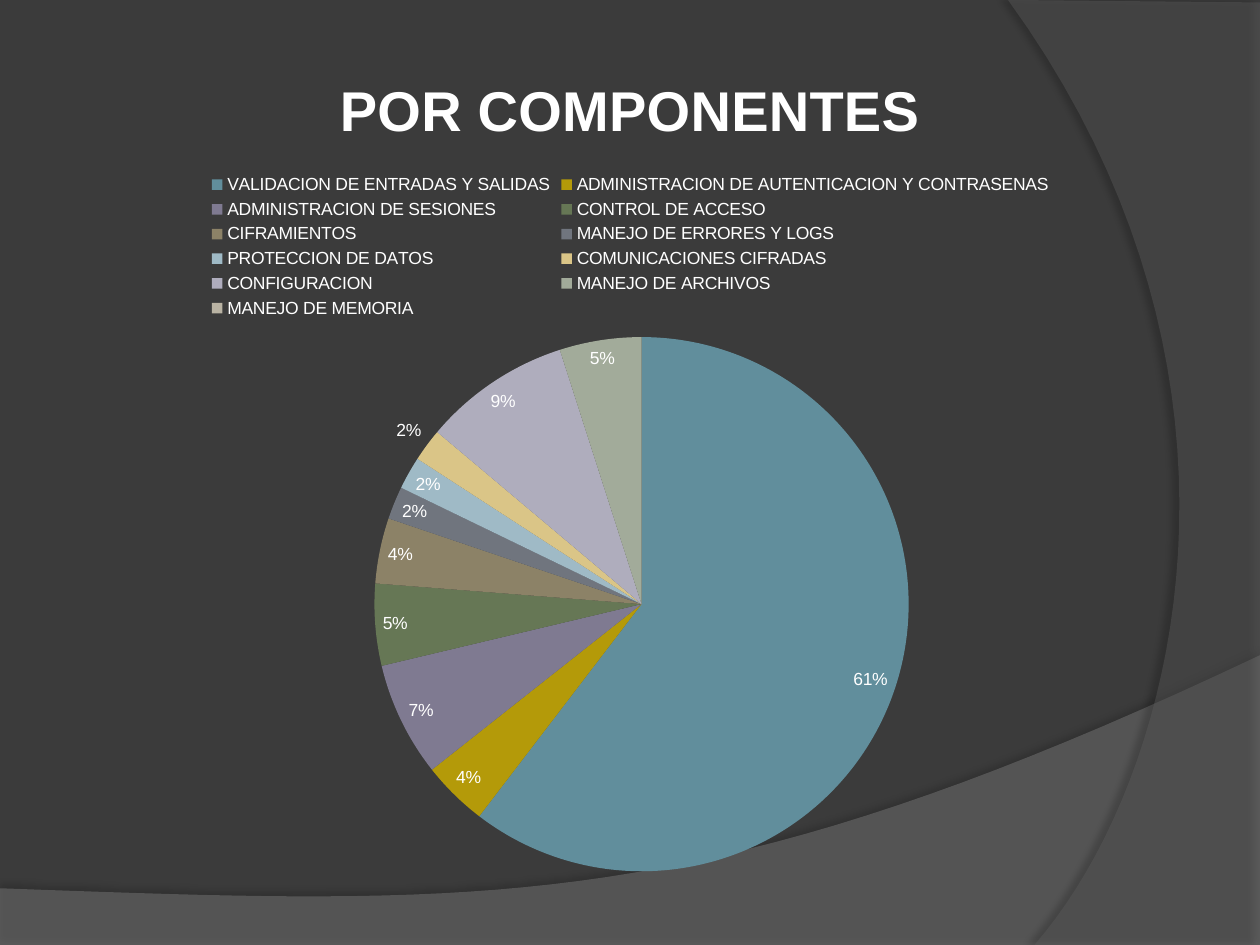
from lxml import etree
from pptx import Presentation
from pptx import util as u
from pptx.chart.data import CategoryChartData
from pptx.dml.color import RGBColor
from pptx.enum import chart as ch
from pptx.oxml import parse_xml
from pptx.oxml.ns import nsdecls, qn

HUES = {"back": "3B3B3B", "wave": "7F7F7F", "arc": "5E5E5E",
        "text": "FFFFFF", "shade": "000000"}
PARTS = [
    ("VALIDACION DE ENTRADAS Y SALIDAS", 61, "618E9C"),
    ("ADMINISTRACION DE AUTENTICACION Y CONTRASENAS", 4, "B49A09"),
    ("ADMINISTRACION DE SESIONES", 7, "7F7A91"),
    ("CONTROL DE ACCESO", 5, "667755"),
    ("CIFRAMIENTOS", 4, "8C8267"),
    ("MANEJO DE ERRORES Y LOGS", 2, "70757E"),
    ("PROTECCION DE DATOS", 2, "9FBAC6"),
    ("COMUNICACIONES CIFRADAS", 2, "DAC587"),
    ("CONFIGURACION", 9, "AFADBD"),
    ("MANEJO DE ARCHIVOS", 5, "A2AB9A"),
    ("MANEJO DE MEMORIA", 0, "B9B3A3"),
]


def curve(a, b, c, d, steps=40):
    """Points along a cubic Bezier, both ends included."""
    marks = [i / steps for i in range(steps + 1)]
    return [tuple((1 - t) ** 3 * p + 3 * t * (1 - t) ** 2 * q
                  + 3 * t * t * (1 - t) * r + t ** 3 * s
                  for p, q, r, s in zip(a, b, c, d)) for t in marks]


class Deck:
    face = "Arial"

    def __init__(self, wide, high):
        self.prs = Presentation()
        self.prs.slide_width = u.Inches(wide)
        self.prs.slide_height = u.Inches(high)
        self.slide = self.prs.slides.add_slide(self.prs.slide_layouts[6])
        self.paint(self.slide.background.fill, HUES["back"])

    def paint(self, fill, hue):
        fill.solid()
        fill.fore_color.rgb = RGBColor.from_string(hue)

    def style(self, font, size, bold=False):
        font.name = self.face
        font.size = u.Pt(size)
        font.bold = bold
        font.color.rgb = RGBColor.from_string(HUES["text"])

    def sheet(self, points, hue, alpha, shade):
        """Translucent outline; shade is opacity %, blur pt, distance pt, angle."""
        dots = [(u.Inches(x), u.Inches(y)) for x, y in points]
        pen = self.slide.shapes.build_freeform(*dots[0])
        pen.add_line_segments(dots[1:], close=True)
        shape = pen.convert_to_shape()
        self.paint(shape.fill, hue)
        shape.line.fill.background()
        tint = shape.fill._xPr.find(".//" + qn("a:srgbClr"))
        etree.SubElement(tint, qn("a:alpha"), val=str(alpha * 1000))
        dark, blur, dist, angle = shade
        shape._element.spPr.append(parse_xml(
            f'<a:effectLst {nsdecls("a")}><a:outerShdw blurRad="{u.Pt(blur)}" '
            f'dist="{u.Pt(dist)}" dir="{angle * 60000}" rotWithShape="0">'
            f'<a:srgbClr val="{HUES["shade"]}"><a:alpha val="{dark * 1000}"/>'
            '</a:srgbClr></a:outerShdw></a:effectLst>'))

    def pie(self, title, parts, box, plot):
        """Pie in box; plot is its inner area as shares of the chart."""
        data = CategoryChartData()
        data.categories = [name for name, _, _ in parts]
        data.add_series("Series 1", [val for _, val, _ in parts])
        chart = self.slide.shapes.add_chart(
            ch.XL_CHART_TYPE.PIE, *map(u.Inches, box), data).chart
        self.style(chart.font, 10)

        chart.has_title = True
        run = chart.chart_title.text_frame.paragraphs[0].add_run()
        run.text = title
        self.style(run.font, 32, True)

        chart.has_legend = True
        chart.legend.position = ch.XL_LEGEND_POSITION.TOP
        chart.legend.include_in_layout = False
        self.style(chart.legend.font, 10)

        body = chart.plots[0]
        body.vary_by_categories = True
        for i, (_, _, hue) in enumerate(parts):
            form = body.series[0].points[i].format
            self.paint(form.fill, hue)
            form.line.fill.background()

        body.has_data_labels = True
        tags = body.data_labels
        tags.show_value = True
        tags.show_percentage = False
        tags.number_format = '0"%";;'
        tags.number_format_is_linked = False
        tags.position = ch.XL_LABEL_POSITION.BEST_FIT
        self.style(tags.font, 10)
        self.place(chart, plot)

    def place(self, chart, plot):
        area = chart._chartSpace.chart.plotArea
        for old in area.findall(qn("c:layout")):
            area.remove(old)
        sizes = "".join(f'<c:{k} val="{v}"/>' for k, v in zip("xywh", plot))
        area.insert(0, parse_xml(
            f'<c:layout {nsdecls("c")}><c:manualLayout>'
            '<c:layoutTarget val="inner"/><c:xMode val="edge"/>'
            f'<c:yMode val="edge"/>{sizes}</c:manualLayout></c:layout>'))


def main():
    deck = Deck(10, 7.5)
    wave = curve((10, 5.2), (5.59, 7.29), (3.91, 7.19), (0, 7.05))
    deck.sheet([(0, 7.51), (10, 7.51)] + wave,
               HUES["wave"], 45, (35, 4, 3.5, 270))
    arc = curve((8.21, 7.5), (9.35, 6.19), (10.18, 3), (8, 0))
    deck.sheet([(10, 0.02), (10, 7.5)] + arc,
               HUES["arc"], 40, (45, 4, 4, 180))
    deck.pie("POR COMPONENTES", PARTS, (0.38, 0.32, 9.24, 6.73),
             (0.28, 0.35, 0.46, 0.63))
    deck.prs.save("out.pptx")


if __name__ == "__main__":
    main()
